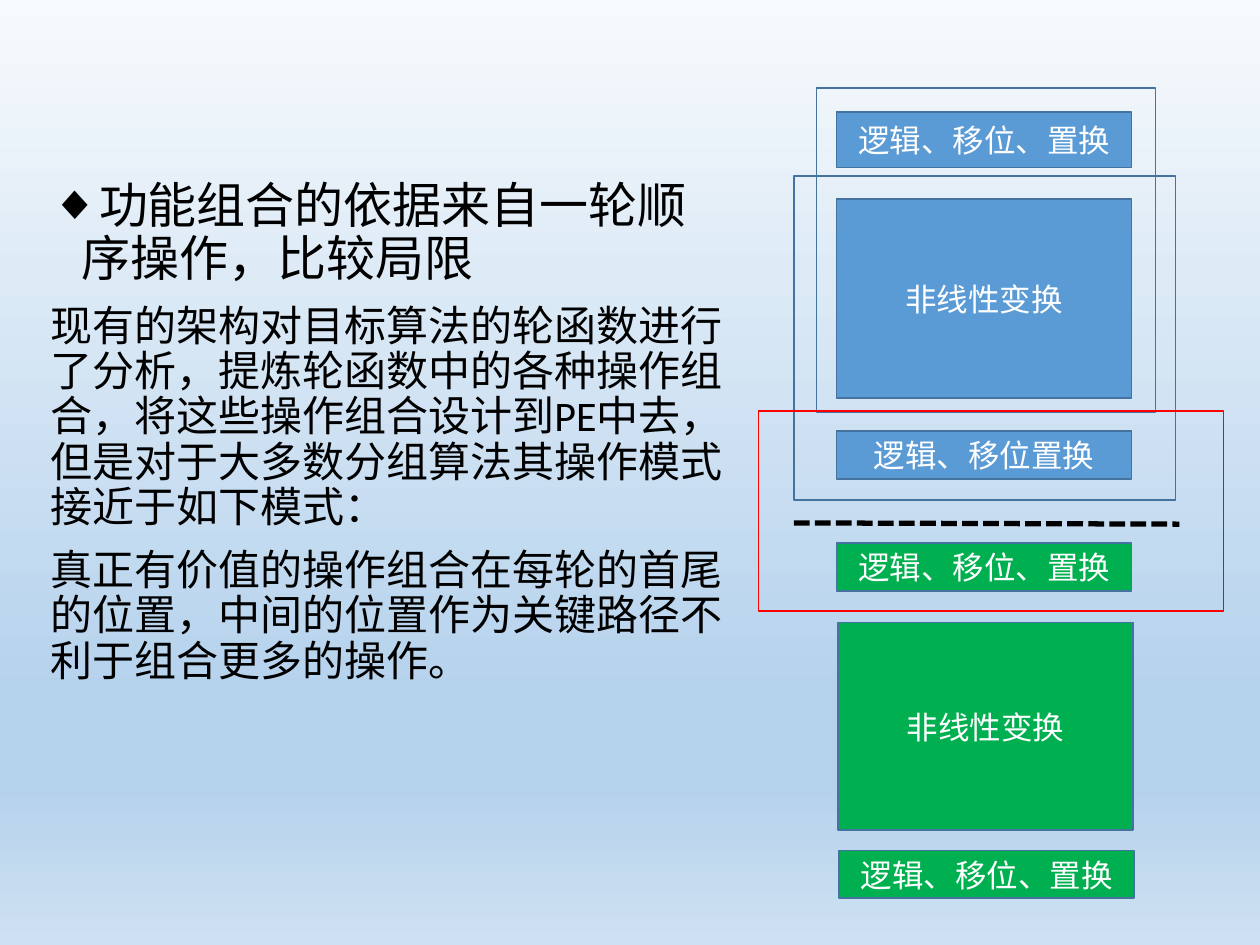
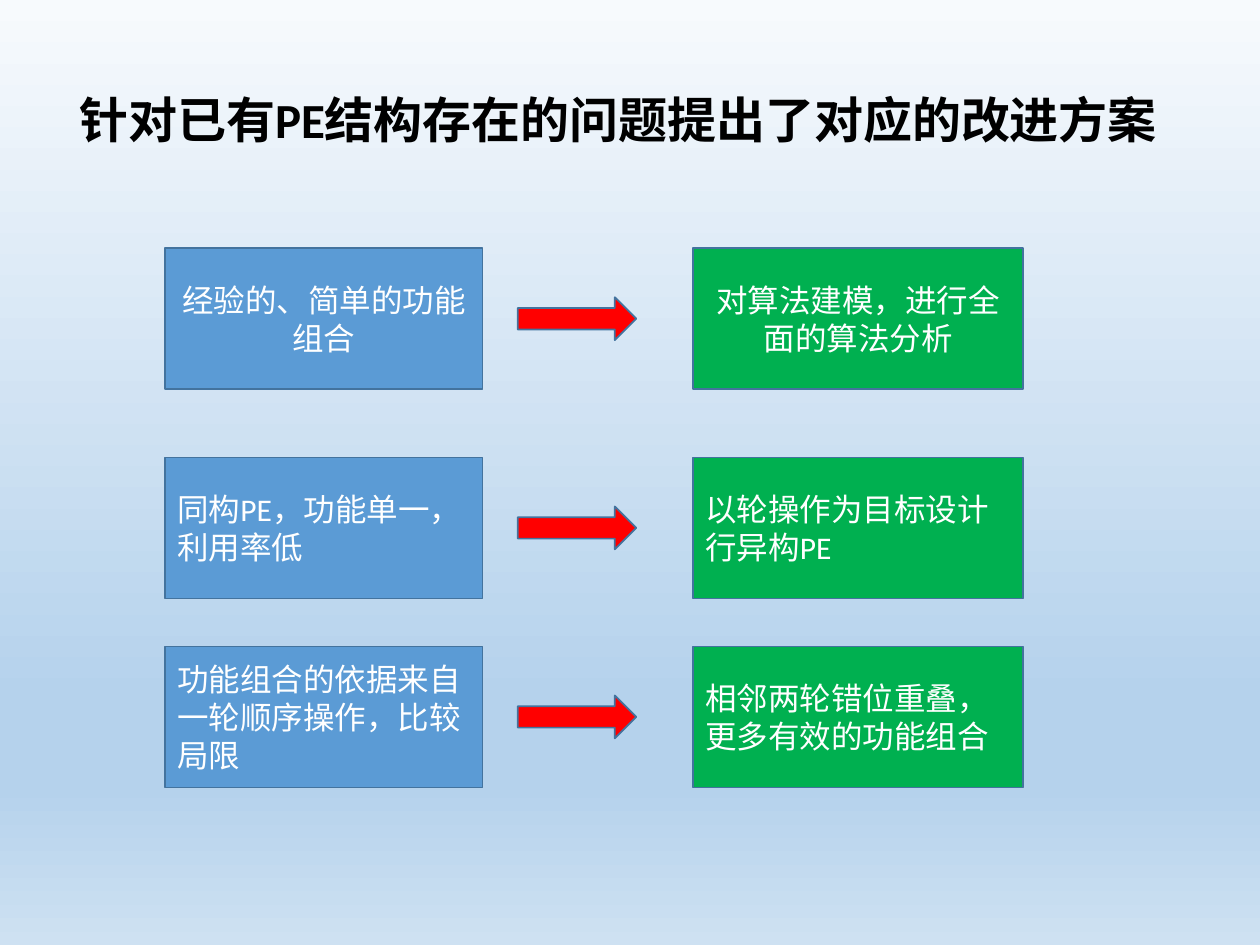
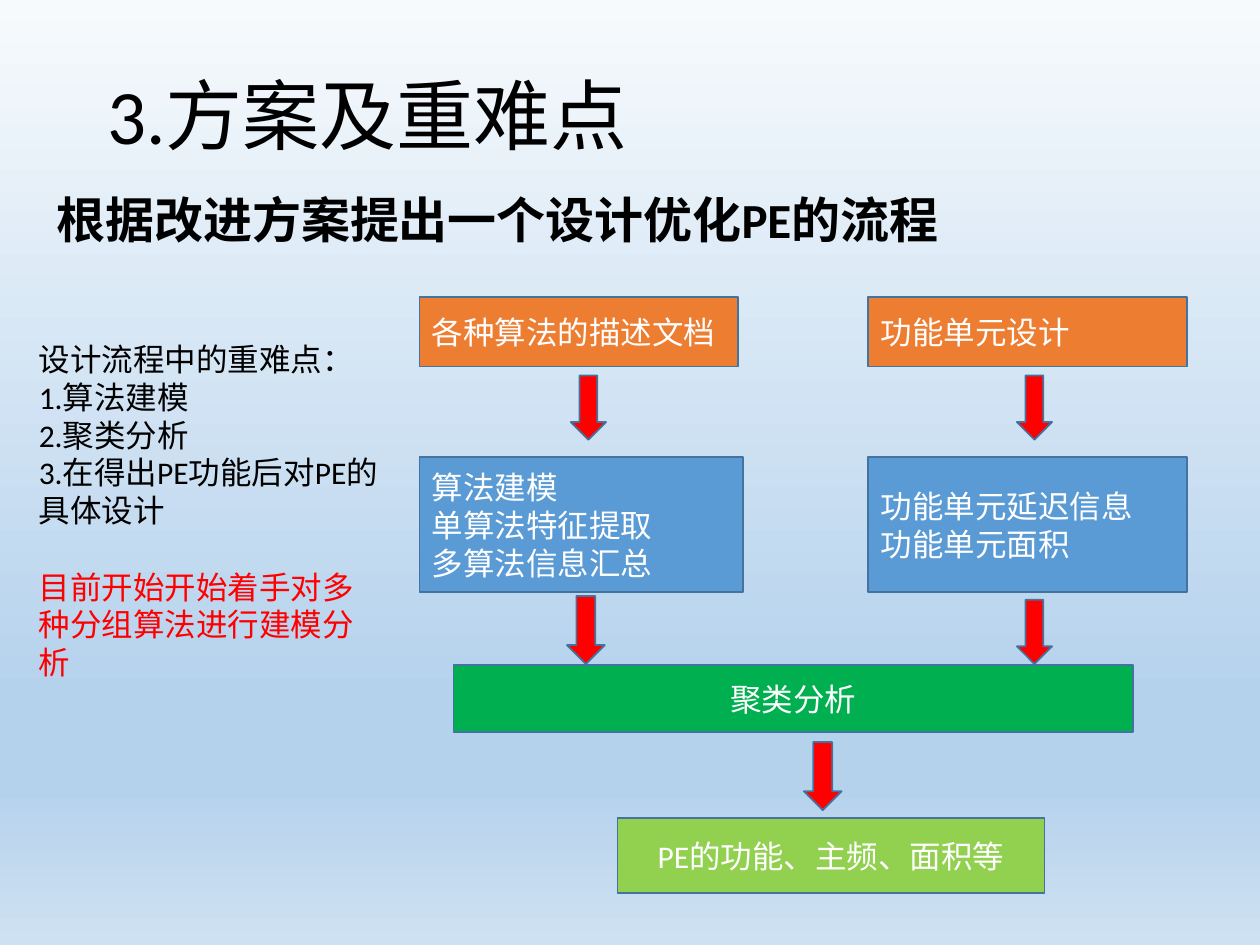
from lxml import etree
from pptx import Presentation
from pptx.dml.color import RGBColor
from pptx.enum.dml import MSO_LINE
from pptx.enum.shapes import MSO_CONNECTOR, MSO_SHAPE
from pptx.enum.text import MSO_ANCHOR, MSO_AUTO_SIZE, PP_ALIGN
from pptx.oxml.ns import qn
from pptx.util import Inches, Pt

RECT = MSO_SHAPE.RECTANGLE
RIGHT = MSO_SHAPE.RIGHT_ARROW
DOWN = MSO_SHAPE.DOWN_ARROW
LINE = MSO_CONNECTOR.STRAIGHT
DASH = MSO_LINE.SQUARE_DOT
TOP, MID = MSO_ANCHOR.TOP, MSO_ANCHOR.MIDDLE
LEFT, CENTER = PP_ALIGN.LEFT, PP_ALIGN.CENTER
FIXED = MSO_AUTO_SIZE.NONE

FONT = "Calibri"
HEX = {
    "black": "000000", "white": "FFFFFF", "blue": "5B9BD5", "edge": "43739E",
    "green": "00B050", "lime": "92D050", "orange": "ED7D31", "red": "FF0000",
}
STOPS = [(0, "F7FAFD"), (74, "B5D2EC"), (83, "B5D2EC"), (100, "CEE1F2")]

POINTS = [
    ("功能组合的依据来自一轮顺序操作，比较局限", {"size": 28, "bullet": "◆"}),
    "现有的架构对目标算法的轮函数进行了分析，提炼轮函数中的各种操作组合，"
    "将这些操作组合设计到PE中去，但是对于大多数分组算法其操作模式接近于如下模式：",
    "真正有价值的操作组合在每轮的首尾的位置，中间的位置作为关键路径不利于组合更多的操作。",
]
LOGIC, CURVE = "逻辑、移位、置换", "非线性变换"
ROUNDS = [
    (LOGIC, 6.64, 0.89, 0.44, "blue"),
    (CURVE, 6.64, 1.58, 1.58, "blue"),
    ("逻辑、移位置换", 6.64, 3.42, 0.38, "blue"),
    (LOGIC, 6.64, 4.31, 0.38, "green"),
    (CURVE, 6.65, 4.94, 1.65, "green"),
    (LOGIC, 6.66, 6.75, 0.38, "green"),
]
FRAMES = [
    ((6.3, 1.4, 3.03, 2.57), "edge"),
    ((6.48, 0.7, 2.69, 2.57), "edge"),
    ((6.02, 3.26, 3.69, 1.59), "red"),
]

PLAN = "针对已有PE结构存在的问题提出了对应的改进方案"
FIXES = [
    (1.97, CENTER, "经验的、简单的功能组合", "对算法建模，进行全面的算法分析"),
    (3.63, LEFT, "同构PE，功能单一，利用率低", "以轮操作为目标设计行异构PE"),
    (5.13, LEFT, "功能组合的依据来自一轮顺序操作，比较局限",
     "相邻两轮错位重叠，更多有效的功能组合"),
]

TITLE = "3.方案及重难点"
LEAD = "根据改进方案提出一个设计优化PE的流程"
STEPS = [
    (["算法建模", "单算法特征提取", "多算法信息汇总"], (3.33, 3.63, 2.57, 1.07), "blue", LEFT),
    (["各种算法的描述文档"], (3.33, 2.36, 2.53, 0.55), "orange", LEFT),
    (["功能单元设计"], (6.89, 2.36, 2.53, 0.55), "orange", LEFT),
    (["功能单元延迟信息", "功能单元面积"], (6.89, 3.63, 2.53, 1.07), "blue", LEFT),
    (["聚类分析"], (3.6, 5.28, 5.39, 0.53), "green", CENTER),
    (["PE的功能、主频、面积等"], (4.9, 6.49, 3.39, 0.6), "lime", CENTER),
]
SMALL, LARGE = (0.28, 0.51), (0.3, 0.54)
DROPS = [
    (4.53, 2.98, SMALL), (8.07, 2.98, SMALL), (4.5, 4.73, LARGE),
    (8.07, 4.76, SMALL), (6.38, 5.89, LARGE),
]
NOTES = [
    "设计流程中的重难点：",
    "1.算法建模",
    "2.聚类分析",
    "3.在得出PE功能后对PE的具体设计",
    ("目前开始开始着手对多种分组算法进行建模分析", {"color": "red", "before": 22}),
]


def rgb(name):
    return RGBColor.from_string(HEX[name])


def write(shape, lines, anchor=TOP, **base):
    frame = shape.text_frame
    frame.word_wrap = True
    frame.auto_size = FIXED
    frame.vertical_anchor = anchor
    for i, line in enumerate(lines):
        text, own = (line, {}) if isinstance(line, str) else line
        look = {"size": 18, "color": "black", "bold": False, "align": LEFT,
                "space": 1.0, "before": 0, "bullet": None} | base | own
        para = frame.paragraphs[0] if i == 0 else frame.add_paragraph()
        para.alignment = look["align"]
        para.line_spacing = look["space"]
        para.space_before = Pt(look["before"])
        props = para._p.get_or_add_pPr()
        dent = Inches(0.25) if look["bullet"] else 0
        props.set("marL", str(dent))
        props.set("indent", str(-dent))
        if look["bullet"]:
            etree.SubElement(props, qn("a:buChar")).set("char", look["bullet"])
        else:
            etree.SubElement(props, qn("a:buNone"))
        run = para.add_run()
        run.text = text
        run.font.name = FONT
        run.font.size = Pt(look["size"])
        run.font.bold = look["bold"]
        run.font.color.rgb = rgb(look["color"])


def place(shape, box):
    shape.left, shape.top, shape.width, shape.height = map(Inches, box)
    return shape


def draw(slide, box, fill=None, kind=RECT, edge="edge", lines=(), align=CENTER):
    shape = slide.shapes.add_shape(kind, *map(Inches, box))
    shape.shadow.inherit = False
    if fill:
        shape.fill.solid()
        shape.fill.fore_color.rgb = rgb(fill)
    else:
        shape.fill.background()
    shape.line.color.rgb = rgb(edge)
    shape.line.width = Pt(1)
    if lines:
        write(shape, lines, anchor=MID, color="white", align=align)


def paint(master):
    master.background.fill.solid()
    props = master._element.find(".//" + qn("p:bgPr"))
    grad = etree.Element(qn("a:gradFill"), rotWithShape="1")
    stops = etree.SubElement(grad, qn("a:gsLst"))
    for pos, shade in STOPS:
        stop = etree.SubElement(stops, qn("a:gs"), pos=str(pos * 1000))
        etree.SubElement(stop, qn("a:srgbClr"), val=shade)
    etree.SubElement(grad, qn("a:lin"), ang="5400000", scaled="0")
    props.replace(props.find(qn("a:solidFill")), grad)


def start(box, lines, **look):
    slide = deck.slides.add_slide(deck.slide_layouts[1])
    title = slide.shapes.title._element
    title.getparent().remove(title)
    write(place(slide.placeholders[1], box), lines, space=0.9, before=10, **look)
    return slide


def rounds():
    slide = start((0.3, 1.39, 5.62, 4.73), POINTS, size=24)
    for text, left, top, high, fill in ROUNDS:
        draw(slide, (left, top, 2.34, high), fill, lines=[text])
    rule = slide.shapes.add_connector(LINE, *map(Inches, (6.3, 4.15, 9.36, 4.16)))
    rule.line.color.rgb = rgb("black")
    rule.line.width = Pt(3)
    rule.line.dash_style = DASH
    etree.SubElement(rule._element.spPr, qn("a:effectLst"))
    for box, edge in FRAMES:
        draw(slide, box, edge=edge)


def fixes():
    slide = start((0.53, 0.71, 8.92, 0.89), [PLAN], size=28, bold=True)
    high, thick = 1.12, 0.34
    for top, align, old, new in FIXES:
        draw(slide, (1.31, top, 2.52, high), "blue", lines=[old], align=align)
        draw(slide, (5.5, top, 2.62, high), "green", lines=[new], align=align)
        draw(slide, (4.11, top + (high - thick) / 2, 0.94, thick), "red", RIGHT)


def flow():
    slide = deck.slides.add_slide(deck.slide_layouts[5])
    title = place(slide.shapes.title, (0.75, 0.22, 8.62, 1.45))
    write(title, [TITLE], anchor=MID, size=44, space=0.9)
    for lines, box, fill, align in STEPS:
        draw(slide, box, fill, lines=lines, align=align)
    for left, top, size in DROPS:
        draw(slide, (left, top, *size), "red", DOWN)
    lead = slide.shapes.add_textbox(*map(Inches, (0.35, 1.51, 9.42, 0.61)))
    write(lead, [LEAD], size=28, bold=True, space=0.9, before=10)
    notes = slide.shapes.add_textbox(*map(Inches, (0.21, 2.65, 2.93, 3.13)))
    write(notes, NOTES)


deck = Presentation()
deck.slide_width, deck.slide_height = Inches(10), Inches(7.5)
paint(deck.slide_master)
rounds()
fixes()
flow()
deck.save("out.pptx")
